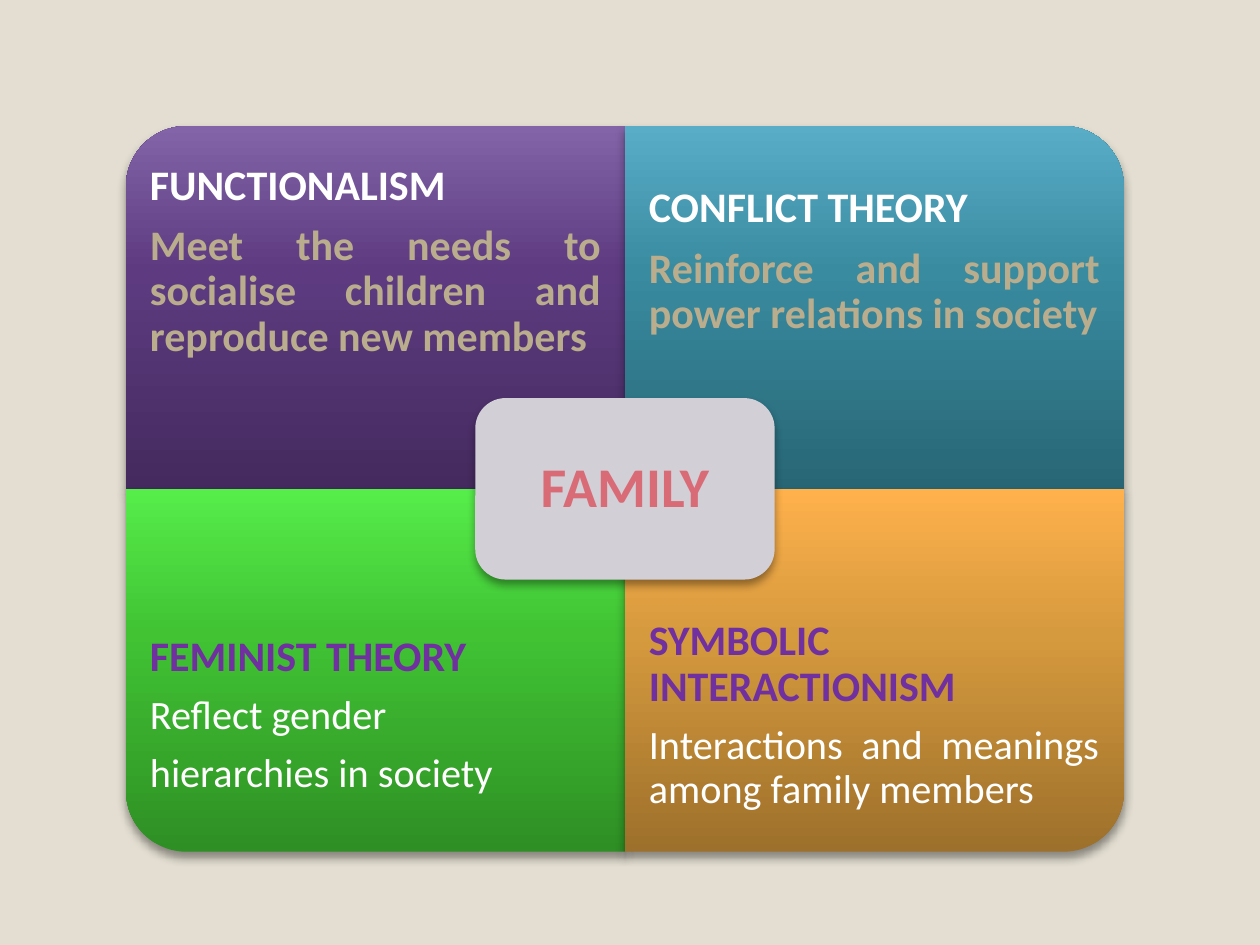
from lxml import etree
from pptx import Presentation
from pptx.dml.color import RGBColor
from pptx.enum import shapes, text
from pptx.oxml import parse_xml
from pptx.oxml.ns import nsdecls, qn
from pptx.util import Pt

WHITE = RGBColor(0xFF, 0xFF, 0xFF)
SAND = RGBColor(0xBA, 0xAD, 0x8D)
VIOLET = RGBColor(0x70, 0x30, 0xA0)
ROSE = RGBColor(0xD9, 0x6B, 0x77)
BACKDROP = RGBColor(0xE3, 0xDE, 0xD1)
HUB = RGBColor(0xD2, 0xCF, 0xD6)


def shades(*codes):
    return [RGBColor.from_string(code) for code in codes]


PURPLE = shades("442A5E", "5E3B81", "8364A8")
TEAL = shades("286675", "398BA0", "59ADC7")
GREEN = shades("2E8F24", "41C334", "56ED4A")
AMBER = shades("9D702B", "D69A3E", "FFB14C")


class MatrixSlide:
    font = "Calibri"
    stops = (0, 60, 100)

    def __init__(self, deck):
        self.page = deck.slides.add_slide(deck.slide_layouts[6])
        fill = self.page.background.fill
        fill.solid()
        fill.fore_color.rgb = BACKDROP

    def panel(self, kind, left, top, width, height, fill, turn=0):
        """Add a shadowed panel that covers the given area after turning."""
        if turn % 180:
            left, top = left + (width - height) / 2, top + (height - width) / 2
            width, height = height, width
        box = self.page.shapes.add_shape(kind, Pt(left), Pt(top), Pt(width), Pt(height))
        box.rotation = turn
        box.line.fill.background()
        if isinstance(fill, RGBColor):
            box.fill.solid()
            box.fill.fore_color.rgb = fill
        else:
            self.gradient(box, fill)
        self.shadow(box)

    def gradient(self, box, colours):
        # Dark at the bottom, light at the top, whatever the rotation
        stops = "".join(
            f'<a:gs pos="{stop * 1000}"><a:srgbClr val="{colour}"/></a:gs>'
            for stop, colour in zip(self.stops, colours))
        outline = box._element.spPr.find(qn("a:ln"))
        outline.addprevious(parse_xml(
            f'<a:gradFill {nsdecls("a")} rotWithShape="0"><a:gsLst>{stops}</a:gsLst>'
            '<a:lin ang="16200000" scaled="0"/></a:gradFill>'))

    def shadow(self, box):
        box._element.spPr.append(parse_xml(
            f'<a:effectLst {nsdecls("a")}><a:outerShdw blurRad="{Pt(5.2)}" '
            f'dist="{Pt(3)}" dir="5400000" rotWithShape="0">'
            '<a:srgbClr val="000000"><a:alpha val="40000"/></a:srgbClr>'
            '</a:outerShdw></a:effectLst>'))

    def words(self, left, top, width, height, inset, align, lines):
        """Add a text box; each line is (wording, size, colour, bold)."""
        box = self.page.shapes.add_textbox(Pt(left), Pt(top), Pt(width), Pt(height))
        frame = box.text_frame
        layout = dict.fromkeys(
            ("margin_left", "margin_top", "margin_right", "margin_bottom"), Pt(inset))
        layout.update(word_wrap=True, vertical_anchor=text.MSO_ANCHOR.MIDDLE)
        for name, value in layout.items():
            setattr(frame, name, value)
        for index, (wording, size, colour, bold) in enumerate(lines):
            para = frame.add_paragraph() if index else frame.paragraphs[0]
            para.alignment = align
            para.line_spacing = 0.9
            after = etree.SubElement(para._p.get_or_add_pPr(), qn("a:spcAft"))
            etree.SubElement(after, qn("a:spcPct")).set("val", "35000")
            span = para.add_run()
            span.text = wording
            for name, value in dict(name=self.font, size=Pt(size), bold=bold).items():
                setattr(span.font, name, value)
            span.font.color.rgb = colour


deck = Presentation()
deck.slide_width, deck.slide_height = Pt(720), Pt(540)
slide = MatrixSlide(deck)

# Matrix grid
LEFT, TOP, WIDTH, HEIGHT = 72, 72, 285.12, 207.36
TEXT_HEIGHT = HEIGHT * 0.75

# Quadrants: column, row, rotation, shades, lines
quadrants = [
    (0, 0, 270, PURPLE, [
        ("FUNCTIONALISM", 24, WHITE, True),
        ("Meet the needs to socialise children and reproduce new members", 24, SAND, True)]),
    (1, 0, 0, TEAL, [
        ("CONFLICT THEORY", 24, WHITE, True),
        ("Reinforce and support power relations in society", 24, SAND, True)]),
    (0, 1, 180, GREEN, [
        ("FEMINIST THEORY", 24, VIOLET, True),
        ("Reflect gender", 23, WHITE, False),
        ("hierarchies in society", 23, WHITE, False)]),
    (1, 1, 90, AMBER, [
        ("SYMBOLIC INTERACTIONISM", 24, VIOLET, True),
        ("Interactions and meanings among family members", 23, WHITE, False)]),
]
for column, row, turn, fill, lines in quadrants:
    left, top = LEFT + column * WIDTH, TOP + row * HEIGHT
    slide.panel(shapes.MSO_SHAPE.ROUND_1_RECTANGLE, left, top, WIDTH, HEIGHT, fill, turn)
    text_top = top + row * (HEIGHT - TEXT_HEIGHT)
    slide.words(left, text_top, WIDTH, TEXT_HEIGHT, 13.68,
                text.PP_ALIGN.JUSTIFY, lines)

# Central hub
hub_width, hub_height, pad = WIDTH * 0.6, HEIGHT * 0.5, 5
hub_left, hub_top = LEFT + WIDTH - hub_width / 2, TOP + HEIGHT - hub_height / 2
slide.panel(shapes.MSO_SHAPE.ROUNDED_RECTANGLE, hub_left, hub_top,
            hub_width, hub_height, HUB)
slide.words(hub_left + pad, hub_top + pad, hub_width - 2 * pad, hub_height - 2 * pad,
            9.6, text.PP_ALIGN.CENTER, [("FAMILY", 32, ROSE, True)])

deck.save("out.pptx")
